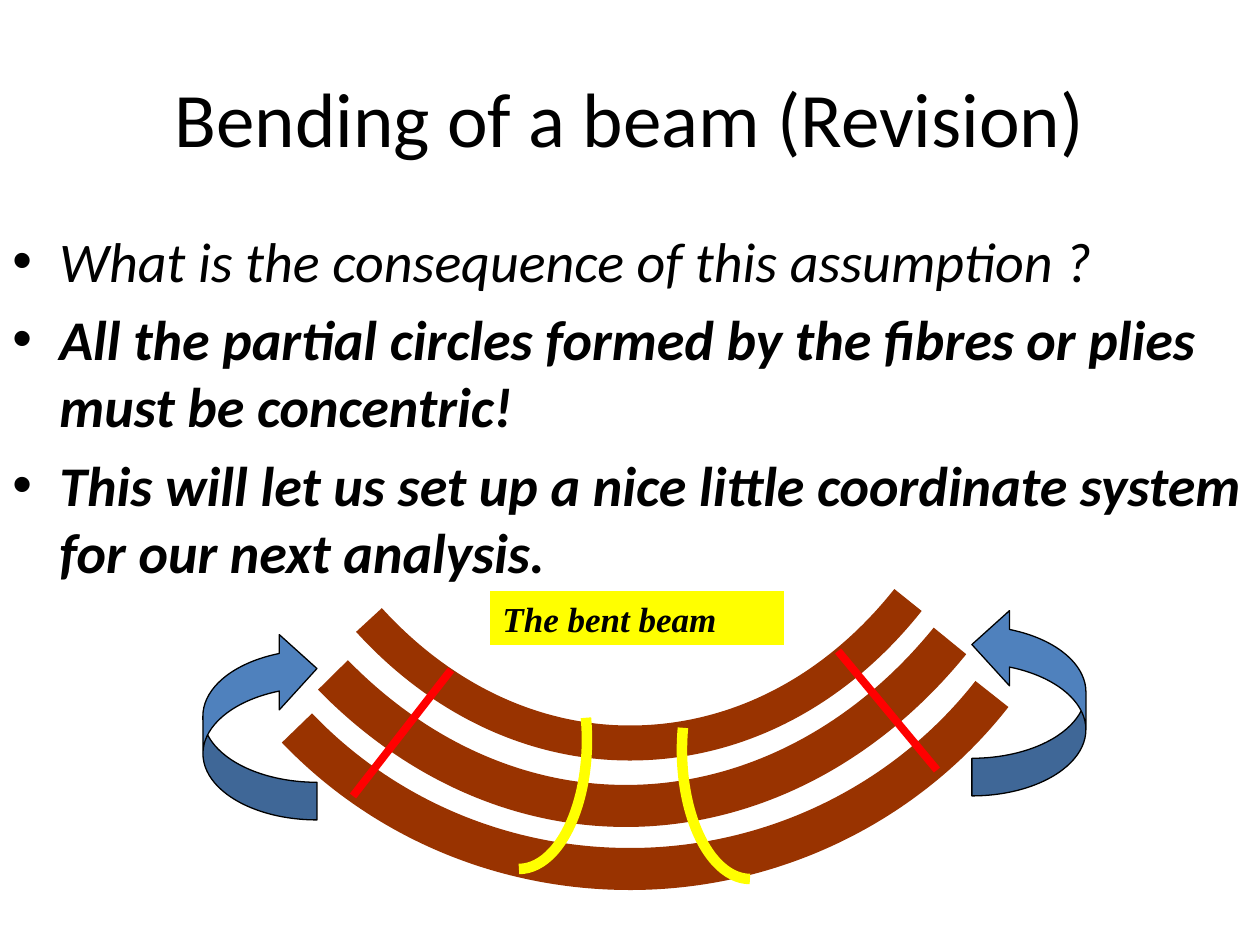
from copy import deepcopy
from dataclasses import dataclass
from lxml import etree
from pptx import Presentation
from pptx import util as u
from pptx.dml.color import RGBColor
from pptx.enum import shapes, text
from pptx.oxml.ns import qn

SCALE = 914400 / 126  # EMU in one px
KIND = shapes.MSO_SHAPE


@dataclass(frozen=True)
class Theme:
    ink: str = "000000"
    beam: str = "993300"
    arrow: str = "4F81BD"
    mark: str = "FFFF00"
    cut: str = "FF0000"
    sans: str = "Calibri"
    serif: str = "Times New Roman"
    title: int = 44
    body: int = 32
    label: int = 20


T = Theme()


def px(n):
    return u.Emu(round(n * SCALE))


def stroke(line, color, width):
    line.color.rgb = RGBColor.from_string(color)
    line.width = u.Pt(width)


def paint(shape, fill=None, line=None, width=1):
    """Set fill and outline; None means there is none."""
    shape.shadow.inherit = False
    if fill:
        shape.fill.solid()
        shape.fill.fore_color.rgb = RGBColor.from_string(fill)
    else:
        shape.fill.background()
    if line:
        stroke(shape.line, line, width)
    else:
        shape.line.fill.background()


def bullet(para, indent):
    props = para._p.get_or_add_pPr()
    props.set("marL", str(indent))
    props.set("indent", str(-indent))
    etree.SubElement(props, qn("a:buFont")).set("typeface", "Arial")
    etree.SubElement(props, qn("a:buChar")).set("char", "•")


def write(frame, rows, font=T.sans, size=T.body, align=text.PP_ALIGN.LEFT,
          anchor=text.MSO_ANCHOR.TOP, before=0, indent=0):
    """Write rows of (words, bold, italic), one paragraph each."""
    frame.word_wrap = True
    frame.vertical_anchor = anchor
    for i, (words, bold, italic) in enumerate(rows):
        para = frame.add_paragraph() if i else frame.paragraphs[0]
        para.alignment = align
        para.space_before = u.Pt(before)
        if indent:
            bullet(para, px(indent))
        run = para.add_run()
        run.text = words
        face = run.font
        face.name, face.size = font, u.Pt(size)
        face.bold, face.italic = bold, italic
        face.color.rgb = RGBColor.from_string(T.ink)


def box(slide, *area):
    return slide.shapes.add_textbox(*map(px, area)).text_frame


def preset(slide, kind, area, flip="", adjust=()):
    shape = slide.shapes.add_shape(kind, *map(px, area))
    for i, value in enumerate(adjust):
        shape.adjustments[i] = value
    for axis in flip:
        shape._element.spPr.xfrm.set("flip" + axis, "1")
    return shape


def curve(track):
    """Turn the first six line segments into two cubic curves."""
    lines = track.findall(qn("a:lnTo"))
    for i in (0, 3):
        cubic = etree.Element(qn("a:cubicBezTo"))
        lines[i].addprevious(cubic)
        for line in lines[i:i + 3]:
            cubic.append(line[0])
            track.remove(line)


def ply(slide, points, hub, width):
    """Draw a bent ply: a stroked arc and its unstroked sector to the hub."""
    pen = slide.shapes.build_freeform(*points[0], scale=SCALE)
    pen.add_line_segments([*points[1:], hub], close=True)
    shape = pen.convert_to_shape()
    sector = next(shape._element.iter(qn("a:path")))
    curve(sector)
    arc = deepcopy(sector)
    for tag in ("a:lnTo", "a:close"):
        arc.remove(arc.find(qn(tag)))
    arc.set("fill", "none")
    sector.set("stroke", "0")
    sector.addprevious(arc)
    paint(shape, line=T.beam, width=width)


def cut(slide, *ends):
    line = slide.shapes.add_connector(shapes.MSO_CONNECTOR.STRAIGHT,
                                      *map(px, ends))
    stroke(line.line, T.cut, 4.5)
    etree.SubElement(line._element.spPr, qn("a:effectLst"))


def main():
    deck = Presentation()
    deck.slide_width, deck.slide_height = px(1260), px(945)
    slide = deck.slides.add_slide(deck.slide_layouts[6])

    # Title and bullets
    write(box(slide, 63, 38, 1134, 157),
          [("Bending of a beam (Revision)", False, False)], size=T.title,
          align=text.PP_ALIGN.CENTER, anchor=text.MSO_ANCHOR.MIDDLE)
    write(box(slide, 0, 220, 1260, 624), [
        ("What is the consequence of this assumption ?", False, True),
        ("All the partial circles formed by the fibres or plies "
         "must be concentric!", True, True),
        ("This will let us set up a nice little coordinate system "
         "for our next analysis.", True, True),
    ], before=6.4, indent=47)

    # Bent plies, outer to inner
    ply(slide, [(992, 694), (905, 805), (771, 869), (630, 869),
                (504, 869), (384, 819), (297, 728)], (630, 407), 24)
    ply(slide, [(950, 641), (864, 747), (747, 806), (626, 806),
                (519, 806), (416, 760), (333, 675)], (626, 239), 24)
    ply(slide, [(908, 600), (835, 692), (736, 743), (630, 743),
                (533, 743), (441, 699), (369, 620)], (630, 281), 20)

    # Bending moments
    for x, y, flip in ((203, 631, "V"), (972, 607, "HV")):
        turn = preset(slide, KIND.CURVED_RIGHT_ARROW, (x, y, 114, 189),
                      flip, (0.33, 0.66, 0.33))
        paint(turn, T.arrow, T.ink, 0.75)

    # Label
    label = preset(slide, KIND.RECTANGLE, (490, 591, 294, 54))
    paint(label, T.mark)
    write(label.text_frame, [("The bent beam", True, True)],
          font=T.serif, size=T.label, anchor=text.MSO_ANCHOR.MIDDLE)

    # Section cuts and curved sections
    cut(slide, 451, 670, 353, 796)
    for x, y, flip in ((451, 611, "V"), (682, 621, "HV")):
        arc = preset(slide, KIND.ARC, (x, y, 136, 258), flip, (162, 10.99))
        paint(arc, line=T.mark, width=6)
    cut(slide, 838, 651, 937, 770)

    deck.save("out.pptx")


if __name__ == "__main__":
    main()
